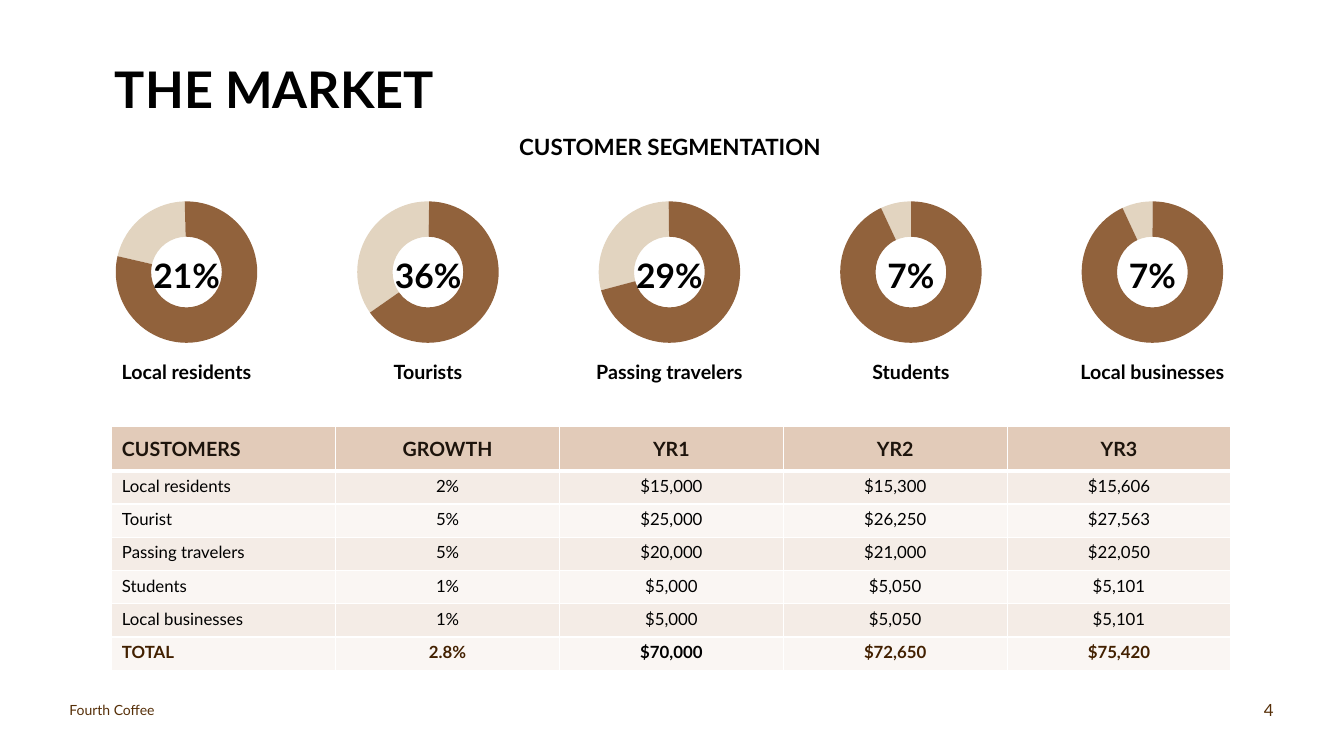
from dataclasses import dataclass

from lxml import etree
from pptx import Presentation
from pptx import util as u
from pptx.chart import data as chart_data
from pptx.dml import color
from pptx.enum import chart as chart_kinds
from pptx.enum import text
from pptx.oxml import ns


@dataclass(frozen=True)
class Theme:
    font: str = "Lato"
    black: str = "000000"
    white: str = "FFFFFF"
    share: str = "E2D4C0"
    rest: str = "91623C"
    header_fill: str = "E2CBB9"
    header_text: str = "1D140C"
    bands: tuple = ("F4ECE6", "FAF6F3")
    total_text: str = "422000"
    footer_text: str = "562F08"
    title_size: int = 36
    share_size: int = 24
    subtitle_size: int = 16
    label_size: int = 14
    cell_size: int = 12
    footer_size: int = 10


@dataclass(frozen=True)
class Segment:
    label: str
    caption: str
    share: int
    start_angle: int


@dataclass(frozen=True)
class Style:
    size: int
    color: str = "000000"
    bold: bool = False
    align: text.PP_ALIGN = text.PP_ALIGN.LEFT


THEME = Theme()
CENTER, RIGHT = text.PP_ALIGN.CENTER, text.PP_ALIGN.RIGHT
TOP, MIDDLE = text.MSO_ANCHOR.TOP, text.MSO_ANCHOR.MIDDLE

SEGMENTS = [
    Segment("Local residents", "21%", 21, 283),
    Segment("Tourists", "36%", 35, 235),
    Segment("Passing travelers", "29%", 29, 255),
    Segment("Students", "7%", 7, 335),
    Segment("Local businesses", "7%", 7, 335),
]
FIRST_CENTER, LAST_CENTER = 1.85, 11.43

CUSTOMERS = [
    ("CUSTOMERS", "GROWTH", "YR1", "YR2", "YR3"),
    ("Local residents", "2%", "$15,000", "$15,300", "$15,606"),
    ("Tourist", "5%", "$25,000", "$26,250", "$27,563"),
    ("Passing travelers", "5%", "$20,000", "$21,000", "$22,050"),
    ("Students", "1%", "$5,000", "$5,050", "$5,101"),
    ("Local businesses", "1%", "$5,000", "$5,050", "$5,101"),
    ("TOTAL", "2.8%", "$70,000", "$72,650", "$75,420"),
]


def rgb(value: str) -> color.RGBColor:
    return color.RGBColor.from_string(value)


def style_paragraph(para, style: Style) -> None:
    para.alignment = style.align
    para.font.name = THEME.font
    para.font.size = u.Pt(style.size)
    para.font.bold = style.bold
    para.font.color.rgb = rgb(style.color)


def fill_box(box, words: str, place: tuple, style: Style, anchor=MIDDLE,
             insets: tuple = (0.1, 0, 0.1, 0)):
    """Place a text shape and write one styled paragraph in it."""
    box.left, box.top, box.width, box.height = map(u.Inches, place)
    frame = box.text_frame
    frame.word_wrap = True
    frame.auto_size = text.MSO_AUTO_SIZE.NONE
    frame.vertical_anchor = anchor
    (frame.margin_left, frame.margin_top,
     frame.margin_right, frame.margin_bottom) = map(u.Inches, insets)
    frame.text = words
    para = frame.paragraphs[0]
    style_paragraph(para, style)
    return para


def add_text(page, *details, **options):
    return fill_box(page.shapes.add_textbox(0, 0, 0, 0), *details, **options)


def add_segment(page, segment: Segment, center: float) -> None:
    # Doughnut
    values = chart_data.CategoryChartData()
    values.categories = ["1", "2"]
    values.add_series("Series 1", (segment.share, 100 - segment.share))
    chart = page.shapes.add_chart(
        chart_kinds.XL_CHART_TYPE.DOUGHNUT,
        *map(u.Inches, (center - 0.93, 1.86, 1.86, 1.68)), values).chart
    chart.has_title = False
    chart.has_legend = False
    chart.font.name = THEME.font
    chart.font.size = u.Pt(10)
    chart.font.color.rgb = rgb(THEME.black)
    for index, shade in enumerate((THEME.share, THEME.rest)):
        fill = chart.plots[0].series[0].points[index].format.fill
        fill.solid()
        fill.fore_color.rgb = rgb(shade)
    for tag, value in (("firstSliceAng", segment.start_angle), ("holeSize", 75)):
        chart.element.xpath(f".//c:{tag}")[0].set("val", str(value))

    # Share and label
    para = add_text(page, segment.caption, (center - 0.51, 2.34, 1.02, 0.7),
                    Style(THEME.share_size, bold=True, align=CENTER),
                    insets=(0, 0, 0, 0))
    para.line_spacing = 1.2
    add_text(page, segment.label, (center - 1.01, 3.47, 2.02, 0.5),
             Style(THEME.label_size, bold=True, align=CENTER),
             anchor=TOP, insets=(0.1, 0.1, 0.1, 0))


def set_border(cell, side: str, points: int) -> None:
    line = etree.SubElement(cell._tc.get_or_add_tcPr(), ns.qn(f"a:ln{side}"),
                            w=str(u.Pt(points)))
    fill = etree.SubElement(line, ns.qn("a:solidFill"))
    etree.SubElement(fill, ns.qn("a:srgbClr"), val=THEME.white)


def cell_style(row: int, column: int) -> Style:
    align = CENTER if column else text.PP_ALIGN.LEFT
    if row == 0:
        return Style(THEME.label_size, THEME.header_text, True, align)
    if row == len(CUSTOMERS) - 1:
        shade = THEME.black if column == 2 else THEME.total_text
        return Style(THEME.cell_size, shade, True, align)
    return Style(THEME.cell_size, align=align)


def add_customers(page) -> None:
    table = page.shapes.add_table(
        len(CUSTOMERS), len(CUSTOMERS[0]),
        *map(u.Inches, (1.11, 4.23, 11.1, 2.43))).table
    for column in table.columns:
        column.width = u.Inches(2.22)
    for row, words in enumerate(CUSTOMERS):
        table.rows[row].height = u.Inches(0.33 if row else 0.44)
        for column, word in enumerate(words):
            cell = table.cell(row, column)
            cell.text = word
            cell.vertical_anchor = TOP if row else MIDDLE
            style_paragraph(cell.text_frame.paragraphs[0], cell_style(row, column))
            borders = {"L": 1, "R": 1, "T": 3 if row == 1 else 1,
                       "B": 1 if row else 3}
            for side, points in borders.items():
                set_border(cell, side, points)
            cell.fill.solid()
            cell.fill.fore_color.rgb = rgb(
                THEME.bands[(row - 1) % 2] if row else THEME.header_fill)


def main() -> None:
    deck = Presentation()
    deck.slide_width, deck.slide_height = u.Inches(13.33), u.Inches(7.5)
    page = deck.slides.add_slide(deck.slide_layouts[1])

    # Title and subtitle
    fill_box(page.shapes.title, "THE MARKET", (1.04, 0.53, 9.84, 0.7),
             Style(THEME.title_size, bold=True))
    subtitle = fill_box(page.placeholders[1], "CUSTOMER SEGMENTATION",
                        (1.04, 1.32, 11.21, 0.39),
                        Style(THEME.subtitle_size, bold=True, align=CENTER),
                        anchor=TOP)
    subtitle.space_before = u.Pt(0)
    properties = subtitle._p.get_or_add_pPr()
    properties.set("marL", "0")
    properties.set("indent", "0")
    bullet = etree.Element(ns.qn("a:buNone"))
    properties.find(ns.qn("a:defRPr")).addprevious(bullet)

    # Customer segments
    pitch = (LAST_CENTER - FIRST_CENTER) / (len(SEGMENTS) - 1)
    for index, segment in enumerate(SEGMENTS):
        add_segment(page, segment, FIRST_CENTER + index * pitch)

    # Table and footer
    add_customers(page)
    add_text(page, "Fourth Coffee", (0.59, 6.84, 4.5, 0.4),
             Style(THEME.footer_size, THEME.footer_text))
    add_text(page, "4", (9.73, 6.84, 3, 0.4),
             Style(THEME.cell_size, THEME.footer_text, align=RIGHT))
    deck.save("out.pptx")


if __name__ == "__main__":
    main()
